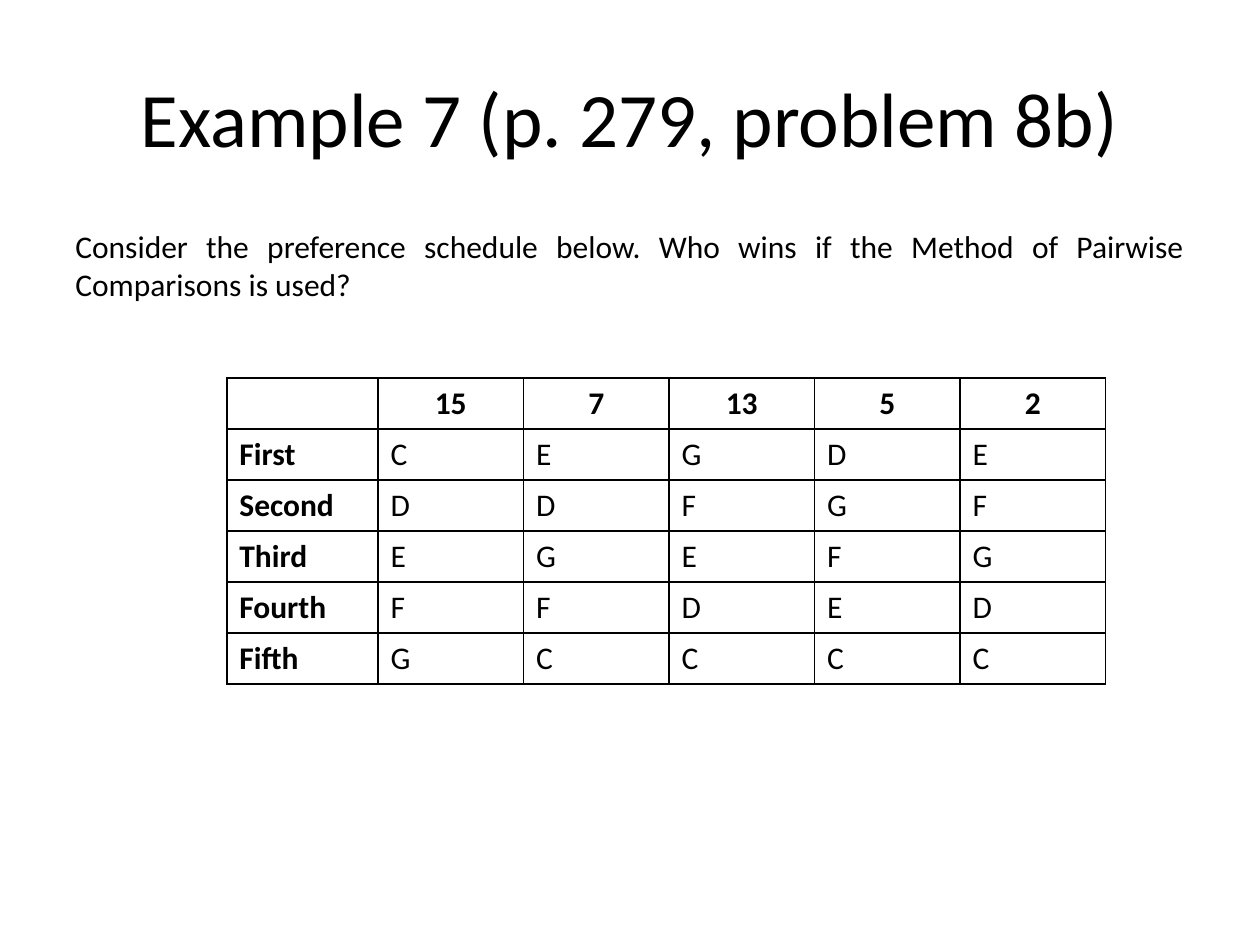
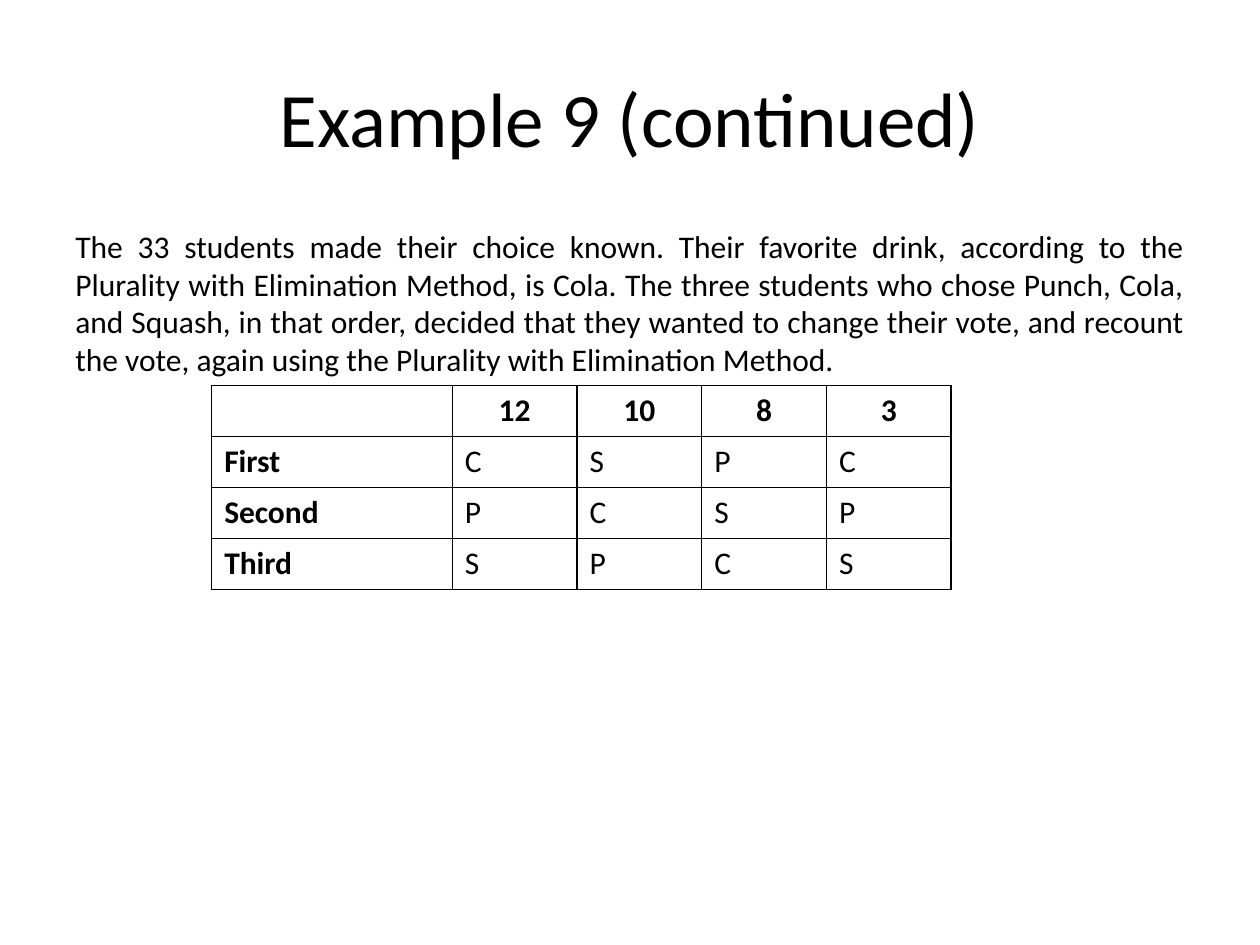
from pptx import Presentation
from pptx.dml.color import RGBColor
from pptx.enum.text import MSO_ANCHOR, PP_ALIGN
from pptx.oxml import parse_xml
from pptx.oxml.ns import nsdecls
from pptx.util import Inches, Pt

BLACK = RGBColor(0x00, 0x00, 0x00)
FONT = "Calibri"
BODY_SIZE = 18
TITLE_SIZE = 44
BORDER_WIDTH = Pt(1)
RANKS = ["First", "Second", "Third", "Fourth", "Fifth"]


def write_text(frame, text, size=BODY_SIZE, bold=False, align=PP_ALIGN.LEFT):
    """Write one formatted paragraph into a text frame."""
    para = frame.paragraphs[0]
    para.alignment = align
    span = para.add_run()
    span.text = text
    span.font.name = FONT
    span.font.size = Pt(size)
    span.font.bold = bold
    span.font.color.rgb = BLACK


def add_text(page, text, top, anchor=MSO_ANCHOR.TOP, **text_format):
    """Add a text box that spans the page between its margins."""
    box = page.shapes.add_textbox(Inches(0.5), Inches(top), Inches(9), Inches(1.25))
    box.text_frame.word_wrap = True
    box.text_frame.vertical_anchor = anchor
    write_text(box.text_frame, text, **text_format)


def add_borders(cell):
    """Draw a thin black line on all four sides of a cell."""
    properties = cell._tc.get_or_add_tcPr()
    for side in ("lnL", "lnR", "lnT", "lnB"):
        properties.append(parse_xml(
            f'<a:{side} {nsdecls("a")} w="{BORDER_WIDTH}"><a:solidFill>'
            f'<a:srgbClr val="{BLACK}"/></a:solidFill></a:{side}>'))


def add_schedule(page, left, top, height, rank_width, vote_width, ballots):
    """Add a preference schedule from pairs of vote count and ranking."""
    counts, rankings = zip(*ballots)
    rows = [("", *counts)]
    rows += [(rank, *choices) for rank, choices in zip(RANKS, zip(*rankings))]
    width = rank_width + vote_width * len(ballots)
    table = page.shapes.add_table(len(rows), len(rows[0]), Inches(left), Inches(top),
                                  Inches(width), Inches(height)).table
    table.first_row = False
    table.horz_banding = False
    for index, column in enumerate(table.columns):
        column.width = Inches(vote_width if index else rank_width)
    for row_index, row in enumerate(rows):
        for column_index, value in enumerate(row):
            cell = table.cell(row_index, column_index)
            add_borders(cell)
            cell.fill.background()
            is_header = row_index == 0
            if value:
                write_text(cell.text_frame, str(value),
                           bold=is_header or column_index == 0,
                           align=PP_ALIGN.CENTER if is_header else PP_ALIGN.LEFT)


def add_example(deck, title, question):
    """Add a page with the shared title and justified question."""
    page = deck.slides.add_slide(deck.slide_layouts[6])
    add_text(page, title, 0.3, anchor=MSO_ANCHOR.MIDDLE, size=TITLE_SIZE,
             align=PP_ALIGN.CENTER)
    add_text(page, question, 1.75, align=PP_ALIGN.JUSTIFY)
    return page


def main():
    """Build the two example pages and save the deck."""
    deck = Presentation()
    deck.slide_width = Inches(10)
    deck.slide_height = Inches(7.5)

    page = add_example(
        deck, "Example 7 (p. 279, problem 8b)",
        "Consider the preference schedule below. Who wins if the Method of "
        "Pairwise Comparisons is used?")
    add_schedule(page, 1.8, 3, 2.43, 1.2, 1.155,
                 [(15, "CDEFG"), (7, "EDGFC"), (13, "GFEDC"),
                  (5, "DGFEC"), (2, "EFGDC")])

    page = add_example(
        deck, "Example 9 (continued)",
        "The 33 students made their choice known. Their favorite drink, according "
        "to the Plurality with Elimination Method, is Cola. The three students who "
        "chose Punch, Cola, and Squash, in that order, decided that they wanted to "
        "change their vote, and recount the vote, again using the Plurality with "
        "Elimination Method.")
    add_schedule(page, 1.68, 3.06, 1.62, 1.91, 0.99,
                 [(12, "CPS"), (10, "SCP"), (8, "PSC"), (3, "CPS")])

    deck.save("out.pptx")


if __name__ == "__main__":
    main()
